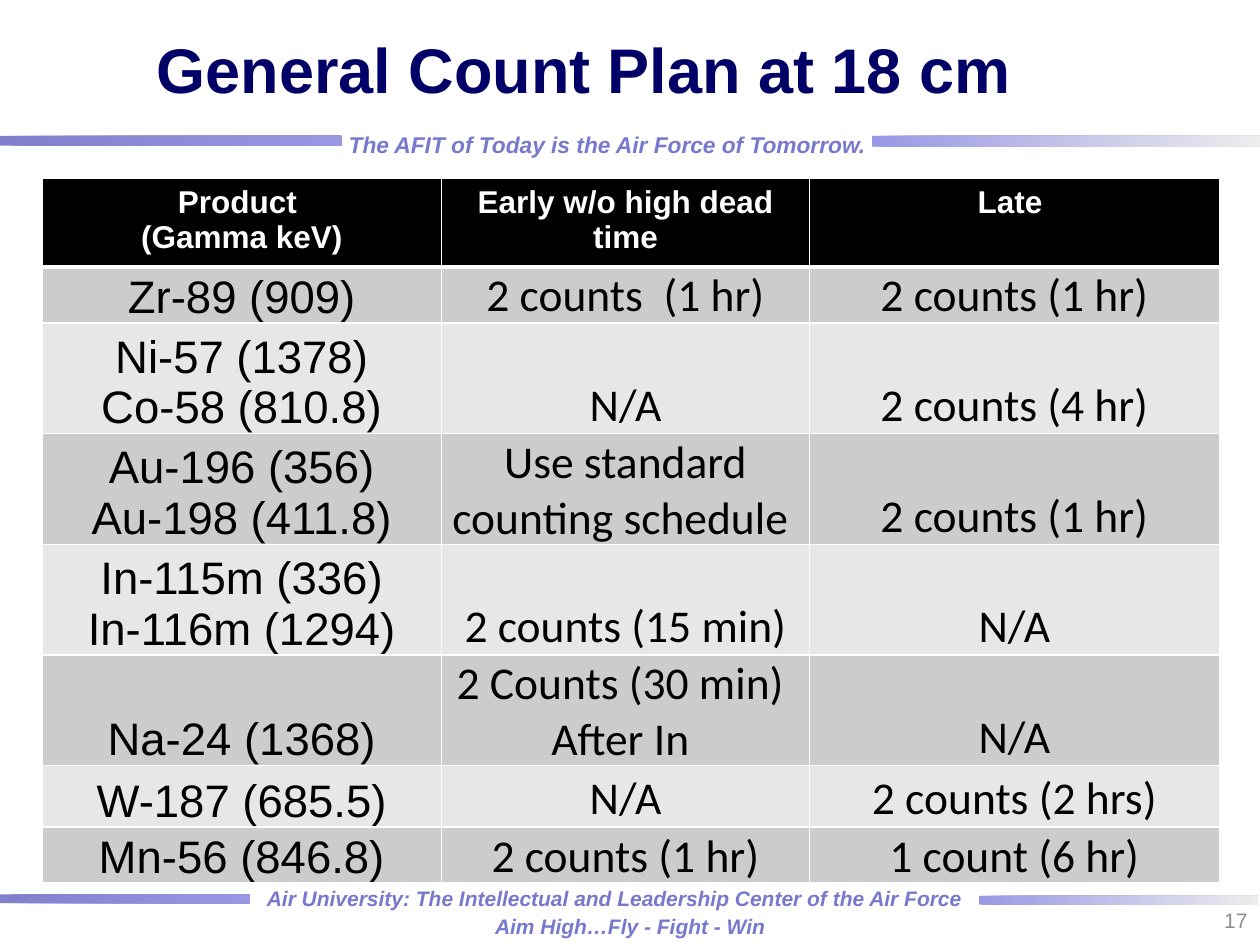
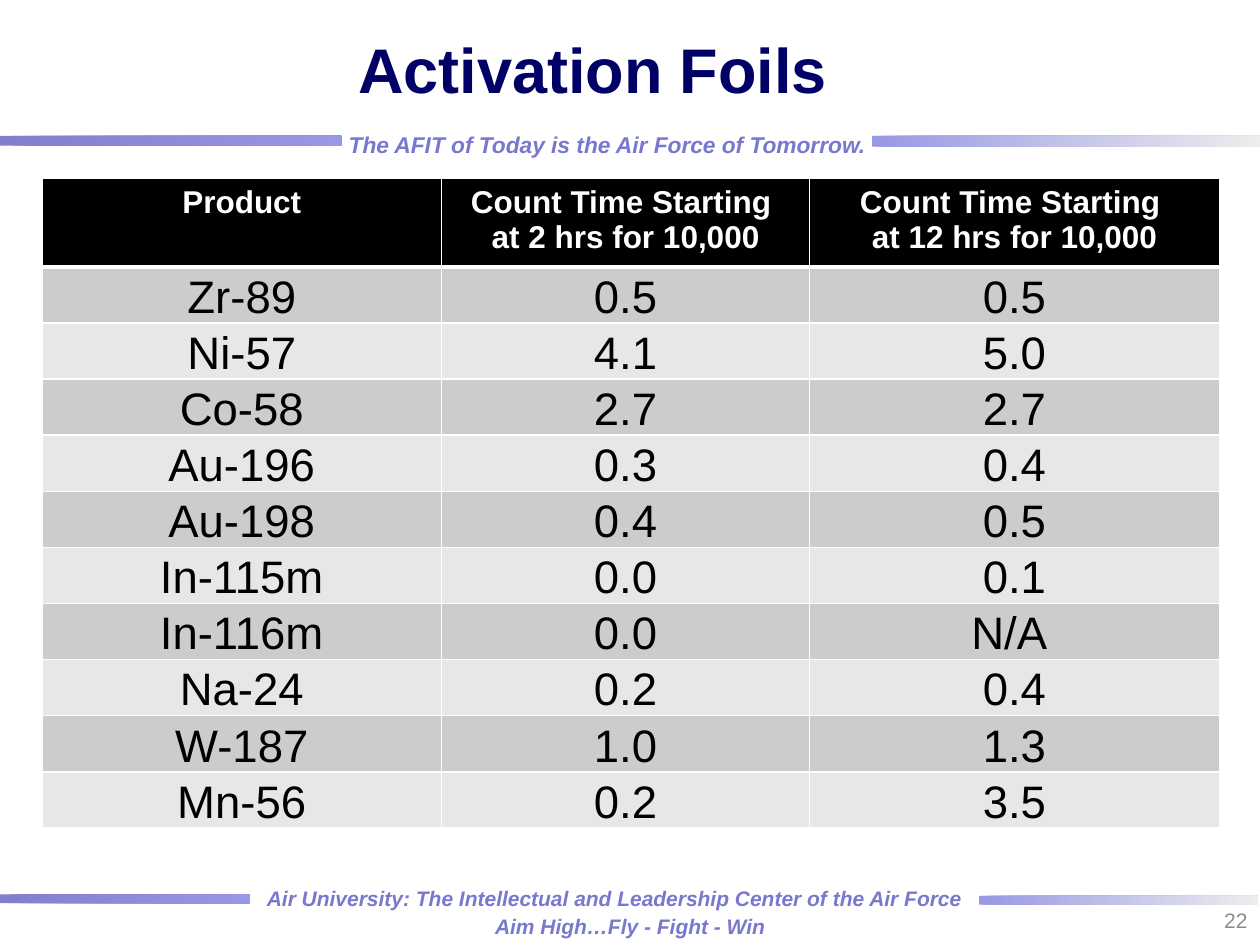
from dataclasses import dataclass

from lxml.etree import SubElement
from pptx import Presentation
from pptx.dml.color import RGBColor
from pptx.enum.shapes import MSO_SHAPE
from pptx.enum.text import MSO_ANCHOR, PP_ALIGN
from pptx.oxml.ns import qn
from pptx.util import Cm, Pt


@dataclass(frozen=True)
class Theme:
    navy: str = "000066"
    deep: str = "000099"
    blue: str = "3333CC"
    pale: str = "DDDDDD"
    motto: str = "7878CE"
    grey: str = "8C8C8C"
    black: str = "000000"
    white: str = "FFFFFF"
    rows: tuple = ("CCCCCC", "E7E7E7")
    sans: str = "Arial"
    body: str = "Calibri"
    title: int = 36
    cell: int = 26
    head: int = 18
    slogan: int = 13
    small: int = 12


LOOK = Theme()
COLS = (8.05, 7.42, 8.26)
ROW = 1.04
TALL = 2.21

# Each line of a cell is a paragraph
PLAN = [
    ("Product \n(Gamma keV)", "Early w/o high dead time", "Late "),
    ("Zr-89 (909)", "2 counts  (1 hr)", "2 counts (1 hr)"),
    ("Ni-57 (1378)\nCo-58 (810.8)", "N/A", "2 counts (4 hr)"),
    ("Au-196 (356)\nAu-198 (411.8)", "Use standard counting schedule ",
     "2 counts (1 hr)"),
    ("In-115m (336)\nIn-116m (1294)", "2 counts (15 min)", "N/A"),
    ("Na-24 (1368)", "2 Counts (30 min) \nAfter In ", "N/A"),
    ("W-187 (685.5)", "N/A", "2 counts (2 hrs)"),
    ("Mn-56 (846.8)", "2 counts (1 hr)", "1 count (6 hr)"),
]
FOILS = [
    ("Product", "Count Time Starting \nat 2 hrs for 10,000",
     "Count Time Starting \nat 12 hrs for 10,000"),
    ("Zr-89", "0.5", "0.5"),
    ("Ni-57", "4.1", "5.0"),
    ("Co-58", "2.7", "2.7"),
    ("Au-196", "0.3", "0.4"),
    ("Au-198", "0.4", "0.5"),
    ("In-115m", "0.0", "0.1"),
    ("In-116m", "0.0", "N/A "),
    ("Na-24", "0.2", "0.4"),
    ("W-187", "1.0", "1.3"),
    ("Mn-56", "0.2", "3.5"),
]


def write(frame, text, size, color, font=LOOK.sans, bold=False,
          slant=False, align=PP_ALIGN.LEFT):
    """Fill a text frame, one paragraph per line."""
    for i, line in enumerate(text.split("\n")):
        para = frame.paragraphs[0] if i == 0 else frame.add_paragraph()
        para.alignment = align
        run = para.add_run()
        run.text = line
        run.font.name = font
        run.font.size = Pt(size)
        run.font.bold = bold
        run.font.italic = slant
        run.font.color.rgb = RGBColor.from_string(color)


def label(slide, text, x, y, w, h, wrap=True, anchor=MSO_ANCHOR.TOP, **style):
    frame = slide.shapes.add_textbox(Cm(x), Cm(y), Cm(w), Cm(h)).text_frame
    frame.word_wrap = wrap
    frame.vertical_anchor = anchor
    write(frame, text, **style)


def band(slide, x, y, w, h, start, end):
    """Draw a half-clear bar that fades from left to right."""
    bar = slide.shapes.add_shape(MSO_SHAPE.RECTANGLE,
                                 Cm(x), Cm(y), Cm(w), Cm(h))
    bar.shadow.inherit = False
    bar.line.fill.background()
    bar.fill.gradient()
    bar.fill.gradient_angle = 0
    for stop, color in zip(bar.fill.gradient_stops, (start, end)):
        stop.color.rgb = RGBColor.from_string(color)
    for tint in bar.element.spPr.iter(qn("a:srgbClr")):
        SubElement(tint, qn("a:alpha"), val="50000")


def edge(cell, side, width):
    line = SubElement(cell._tc.get_or_add_tcPr(), qn(f"a:ln{side}"),
                      w=str(Pt(width)))
    fill = SubElement(line, qn("a:solidFill"))
    SubElement(fill, qn("a:srgbClr"), val=LOOK.white)


def fill_cell(cell, text, row, font):
    # Borders come first, with a thick rule under the header
    thick = {(0, "B"), (1, "T")}
    for side in "LRTB":
        edge(cell, side, 3 if (row, side) in thick else 1)
    cell.fill.solid()
    if row == 0:
        shade = LOOK.black
        style = dict(size=LOOK.head, color=LOOK.white, bold=True)
    else:
        shade = LOOK.rows[(row - 1) % 2]
        style = dict(size=LOOK.cell, color=LOOK.black, font=font)
        cell.vertical_anchor = MSO_ANCHOR.BOTTOM
        cell.margin_left = cell.margin_right = cell.margin_top = Cm(0.03)
        cell.margin_bottom = 0
    cell.fill.fore_color.rgb = RGBColor.from_string(shade)
    write(cell.text_frame, text, align=PP_ALIGN.CENTER, **style)


def grid(slide, data, height, font, sizes):
    """Add the table; sizes holds the rows that differ from ROW."""
    table = slide.shapes.add_table(len(data), len(COLS), Cm(0.85), Cm(3.6),
                                   Cm(sum(COLS)), Cm(height)).table
    table.horz_banding = False
    for col, width in zip(table.columns, COLS):
        col.width = Cm(width)
    for r, line in enumerate(data):
        table.rows[r].height = Cm(sizes.get(r, ROW))
        for c, text in enumerate(line):
            fill_cell(table.cell(r, c), text, r, font if c else LOOK.sans)


def base(deck, title, page):
    """Start a slide with its bands, slogans, title and number."""
    slide = deck.slides.add_slide(deck.slide_layouts[6])
    # Bands
    band(slide, 0, 18.03, 5.03, 0.18, LOOK.deep, LOOK.blue)
    band(slide, 19.74, 18.06, 5.61, 0.18, LOOK.blue, LOOK.pale)
    band(slide, 17.58, 2.74, 7.82, 0.22, LOOK.blue, LOOK.pale)
    band(slide, 0, 2.74, 6.88, 0.2, LOOK.deep, LOOK.blue)
    # Slogans
    motto = dict(wrap=False, color=LOOK.motto, bold=True, slant=True)
    label(slide, "Air University: The Intellectual and Leadership Center "
          "of the Air Force", 5.13, 17.73, 14.63, 0.74,
          size=LOOK.small, **motto)
    label(slide, "Aim High…Fly - Fight - Win", 9.73, 18.3, 5.99, 0.74,
          size=LOOK.small, **motto)
    label(slide, "The AFIT of Today is the Air Force of Tomorrow.",
          6.78, 2.51, 11.05, 0.79, size=LOOK.slogan, **motto)
    # Title and page number
    label(slide, title, 2.74, 0, 18.42, 2.74, anchor=MSO_ANCHOR.MIDDLE,
          size=LOOK.title, color=LOOK.navy, bold=True, align=PP_ALIGN.CENTER)
    label(slide, page, 19.48, 18.03, 5.92, 1.02, anchor=MSO_ANCHOR.MIDDLE,
          size=LOOK.small, color=LOOK.grey, align=PP_ALIGN.RIGHT)
    return slide


def main():
    deck = Presentation()
    deck.slide_width, deck.slide_height = Cm(25.4), Cm(19.05)

    # Count plan
    slide = base(deck, "General Count Plan at 18 cm ", "17")
    grid(slide, PLAN, 14.15, LOOK.body, {4: TALL, 6: 1.24})

    # Foil count times
    slide = base(deck, "Activation Foils", "22")
    grid(slide, FOILS, 13, LOOK.sans, {})

    deck.save("out.pptx")


if __name__ == "__main__":
    main()
